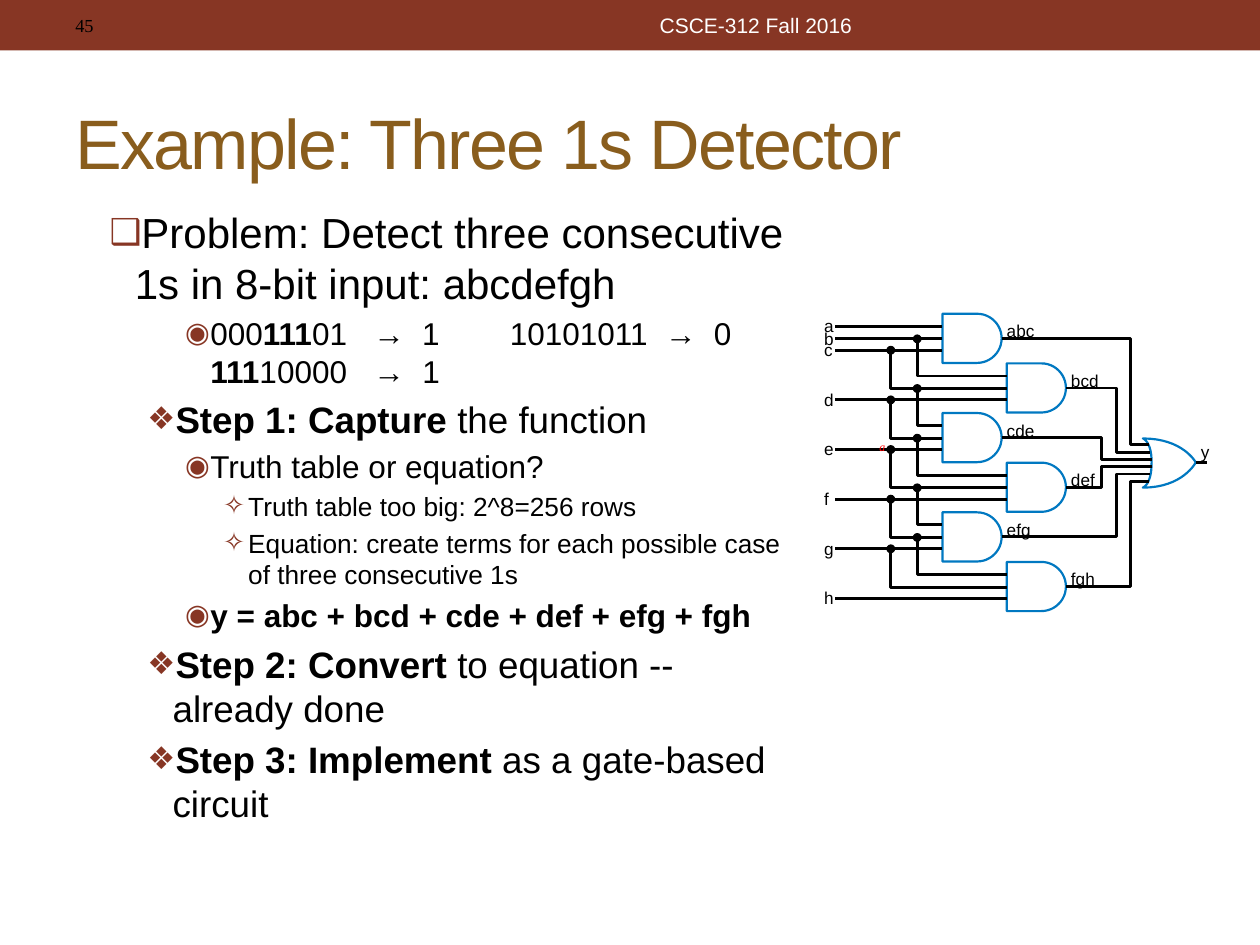
import dataclasses
import math
import typing

import pptx
import pptx.dml.color
import pptx.enum.shapes
import pptx.enum.text
import pptx.oxml.ns
import pptx.util
from lxml import etree

COLORS = {"rust": "873624", "title": "895D1D", "black": "000000",
          "white": "FFFFFF", "gate": "0078C1", "red": "FF0000"}
Point = tuple[float, float]

# Circuit grid, in inches
PITCH = 0.394
TOP = 2.49
GATE_COLUMNS = (7.48, 7.99)
GATE_WIDTH, GATE_HEIGHT = 0.47, 0.39
PIN_OFFSETS = (0.1, 0.2, 0.29)
SECOND_PIN_BUS, THIRD_PIN_BUS = 7.28, 7.07
INPUT_LEFT = 6.63
RISERS = (8.97, 8.86, 8.74)
OR_LEFT, OR_TIP, OR_MIDDLE = 9.07, 9.49, 3.67


@dataclasses.dataclass
class Segment:
    """A run of text; tracking is extra character spacing in points."""
    text: str
    bold: bool = False
    tracking: float = 0


@dataclasses.dataclass
class Level:
    """The look of one list level."""
    margin: float
    bullet: str
    bullet_percent: int
    size: float


@dataclasses.dataclass
class Item:
    """One list entry."""
    level: int
    segments: list[Segment]


LEVELS = [Level(0.2, "❑", 85, 24), Level(0.5, "❖", 85, 21),
          Level(0.8, "◉", 90, 18), Level(1.1, "✧", 100, 15)]
ITEMS = [
    Item(0, [Segment("Problem: Detect three consecutive 1s in 8-bit input: abcdefgh")]),
    Item(2, [Segment("000"), Segment("111", True), Segment("01"), Segment(" ", tracking=10),
             Segment("→"), Segment(" ", tracking=5), Segment("1"), Segment(" ", tracking=35),
             Segment("10101011"), Segment(" ", tracking=5), Segment("→"),
             Segment(" ", tracking=5), Segment("0 "), Segment("111", True),
             Segment("10000"), Segment(" ", tracking=10), Segment("→"),
             Segment(" ", tracking=5), Segment("1")]),
    Item(1, [Segment("Step 1: Capture", True), Segment(" the function")]),
    Item(2, [Segment("Truth table or equation?")]),
    Item(3, [Segment("Truth table too big: 2^8=256 rows")]),
    Item(3, [Segment("Equation: create terms for each possible case of three consecutive 1s")]),
    Item(2, [Segment("y = abc + bcd + cde + def + efg + fgh", True)]),
    Item(1, [Segment("Step 2: Convert", True), Segment(" to equation -- already done")]),
    Item(1, [Segment("Step 3: Implement", True), Segment(" as a gate-based circuit")]),
]


def inches(*values: float) -> list[int]:
    """Convert inches to slide units."""
    return [pptx.util.Inches(value) for value in values]


def color(name: str) -> pptx.dml.color.RGBColor:
    """Look up a colour by name."""
    return pptx.dml.color.RGBColor.from_string(COLORS[name])


def add_run(paragraph: typing.Any, segment: Segment, size: float,
            color_name: str = "black", font_name: str = "Arial") -> typing.Any:
    """Append a formatted run."""
    run = paragraph.add_run()
    run.text = segment.text
    run.font.size = pptx.util.Pt(size)
    run.font.name = font_name
    run.font.bold = segment.bold
    run.font.color.rgb = color(color_name)
    if segment.tracking:
        run.font._element.set("spc", str(round(segment.tracking * 100)))
    return run


def add_header_text(shapes: typing.Any, text: str, left: float, width: float, size: float,
                    color_name: str, font_name: str, alignment: typing.Any) -> None:
    """Add a vertically centred text in the top bar."""
    frame = shapes.add_textbox(*inches(left, 0.02, width, 0.36)).text_frame
    frame.word_wrap = True
    frame.vertical_anchor = pptx.enum.text.MSO_ANCHOR.MIDDLE
    frame.paragraphs[0].alignment = alignment
    add_run(frame.paragraphs[0], Segment(text), size, color_name, font_name)


def add_label(shapes: typing.Any, text: str, left: float, top: float) -> None:
    """Add a signal name without margins."""
    frame = shapes.add_textbox(*inches(left, top, 0.08 * len(text), 0.16)).text_frame
    frame.margin_left = frame.margin_right = frame.margin_top = frame.margin_bottom = 0
    frame.word_wrap = False
    add_run(frame.paragraphs[0], Segment(text), 9.8)


def add_line(shapes: typing.Any, start: Point, end: Point) -> None:
    """Add a straight wire."""
    line = shapes.add_connector(pptx.enum.shapes.MSO_CONNECTOR.STRAIGHT,
                                *inches(*start, *end))
    line.line.color.rgb = color("black")
    line.line.width = pptx.util.Pt(1.63)
    etree.SubElement(line._element.spPr, pptx.oxml.ns.qn("a:effectLst"))


def add_outline(shapes: typing.Any, points: list[Point], is_gate: bool) -> None:
    """Add a closed gate outline or an open bent wire."""
    corners = [tuple(inches(*point)) for point in points]
    builder = shapes.build_freeform(*corners[0], scale=1.0)
    builder.add_line_segments(corners[1:], close=is_gate)
    shape = builder.convert_to_shape()
    shape.shadow.inherit = False
    if is_gate:
        shape.fill.solid()
        shape.fill.fore_color.rgb = color("white")
    else:
        shape.fill.background()
    shape.line.color.rgb = color("gate" if is_gate else "black")
    shape.line.width = pptx.util.Pt(1.25 if is_gate else 1.63)


def add_dot(shapes: typing.Any, x: float, y: float) -> None:
    """Mark a junction."""
    dot = shapes.add_shape(pptx.enum.shapes.MSO_SHAPE.OVAL,
                           *inches(x - 0.03, y - 0.03, 0.06, 0.06))
    dot.shadow.inherit = False
    dot.fill.solid()
    dot.fill.fore_color.rgb = dot.line.color.rgb = color("black")
    dot.line.width = pptx.util.Pt(0.75)


def bezier(p0: Point, p1: Point, p2: Point, p3: Point) -> list[Point]:
    """Sample a cubic curve."""
    steps = [step / 16 for step in range(17)]
    return [tuple((1 - t) ** 3 * a + 3 * (1 - t) ** 2 * t * b + 3 * (1 - t) * t ** 2 * c
                  + t ** 3 * d for a, b, c, d in zip(p0, p1, p2, p3)) for t in steps]


def and_outline(left: float, top: float) -> list[Point]:
    """Outline an AND gate: a flat back and a half-round front."""
    radius = GATE_HEIGHT / 2
    center = left + GATE_WIDTH - radius
    angles = [math.pi * (step / 24 - 0.5) for step in range(25)]
    arc = [(center + radius * math.cos(a), top + radius + radius * math.sin(a)) for a in angles]
    return [(left, top), *arc, (left, top + GATE_HEIGHT)]


def or_outline() -> list[Point]:
    """Outline the OR gate from three kinds of curve."""
    top, bottom = OR_MIDDLE - 0.19, OR_MIDDLE + 0.2
    tip, back = (OR_TIP, OR_MIDDLE), (OR_LEFT + 0.07, OR_MIDDLE)
    return (bezier(tip, tip, (9.39, bottom), (OR_LEFT, bottom))
            + bezier((OR_LEFT, bottom), (OR_LEFT, bottom), (back[0], 3.85), back)
            + bezier(back, (back[0], 3.5), (OR_LEFT, top), (OR_LEFT, top))
            + bezier((OR_LEFT, top), (9.39, top), tip, tip))


def draw_circuit(shapes: typing.Any) -> None:
    """Draw six AND gates that feed one OR gate."""
    signals = "abcdefgh"
    add_outline(shapes, or_outline(), True)
    add_line(shapes, (OR_TIP, OR_MIDDLE), (9.58, OR_MIDDLE))
    add_label(shapes, "y", 9.53, 3.5)
    for row in range(6):
        left, top = GATE_COLUMNS[row % 2], TOP + PITCH * row
        pins = [top + offset for offset in PIN_OFFSETS]
        add_outline(shapes, and_outline(left, top), True)
        for pin in range(3):
            if row == 0 or pin == 2:
                add_line(shapes, (INPUT_LEFT, pins[pin]), (left, pins[pin]))
                add_label(shapes, signals[row + pin], 6.54, pins[pin] - 0.085)
            else:
                bus = (SECOND_PIN_BUS, THIRD_PIN_BUS)[pin]
                source = pins[pin + 1] - PITCH
                add_outline(shapes, [(bus, source), (bus, pins[pin]), (left, pins[pin])], False)
                add_dot(shapes, bus, source)
        depth = min(row, 5 - row)
        middle, target = top + GATE_HEIGHT / 2, 3.53 + 0.058 * row
        riser = RISERS[depth]
        add_outline(shapes, [(left + GATE_WIDTH, middle), (riser, middle), (riser, target),
                             (9.12 + 0.01 * depth, target)], False)
        add_label(shapes, signals[row:row + 3], left + 0.51, top + 0.055)


def fill_list(body: typing.Any) -> None:
    """Write the bulleted list."""
    body.left, body.top, body.width, body.height = inches(0.77, 1.59, 5.6, 4.65)
    frame = body.text_frame
    frame.auto_size = pptx.enum.text.MSO_AUTO_SIZE.NONE
    qn = pptx.oxml.ns.qn
    for index, item in enumerate(ITEMS):
        paragraph = frame.add_paragraph() if index else frame.paragraphs[0]
        paragraph.level = item.level
        level = LEVELS[item.level]
        properties = paragraph._p.get_or_add_pPr()
        properties.set("marL", str(pptx.util.Inches(level.margin)))
        properties.set("indent", str(pptx.util.Inches(-0.2)))
        bullet_color = etree.SubElement(properties, qn("a:buClr"))
        etree.SubElement(bullet_color, qn("a:srgbClr"), val=COLORS["rust"])
        etree.SubElement(properties, qn("a:buSzPct"), val=str(level.bullet_percent * 1000))
        etree.SubElement(properties, qn("a:buChar"), char=level.bullet)
        for segment in item.segments:
            add_run(paragraph, segment, level.size)


def main() -> None:
    """Build and save the slide."""
    presentation = pptx.Presentation()
    presentation.slide_width, presentation.slide_height = inches(10, 7.5)
    slide = presentation.slides.add_slide(presentation.slide_layouts[1])
    shapes = slide.shapes
    bar = shapes.add_shape(pptx.enum.shapes.MSO_SHAPE.RECTANGLE, *inches(0, 0, 10, 0.4))
    bar.shadow.inherit = False
    bar.fill.solid()
    bar.fill.fore_color.rgb = color("rust")
    bar.line.fill.background()
    align = pptx.enum.text.PP_ALIGN
    add_header_text(shapes, "45", 0.5, 3.17, 10.5, "black", "Times New Roman", align.LEFT)
    add_header_text(shapes, "CSCE-312 Fall 2016", 3.75, 4.5, 12, "white", "Arial", align.CENTER)

    title = shapes.title
    title.left, title.top, title.width, title.height = inches(0.5, 0.58, 9, 1.08)
    title.text_frame.vertical_anchor = pptx.enum.text.MSO_ANCHOR.MIDDLE
    title.text_frame.paragraphs[0].alignment = align.LEFT
    add_run(title.text_frame.paragraphs[0],
            Segment("Example: Three 1s Detector", tracking=-1), 40, "title")
    fill_list(slide.placeholders[1])
    draw_circuit(shapes.add_group_shape().shapes)

    mark = shapes.add_textbox(*inches(6.88, 3.44, 0.25, 0.21)).text_frame
    mark.word_wrap = False
    add_run(mark.paragraphs[0], Segment("a"), 6.8, "red", "Times New Roman").font.italic = True
    presentation.save("out.pptx")


main()
